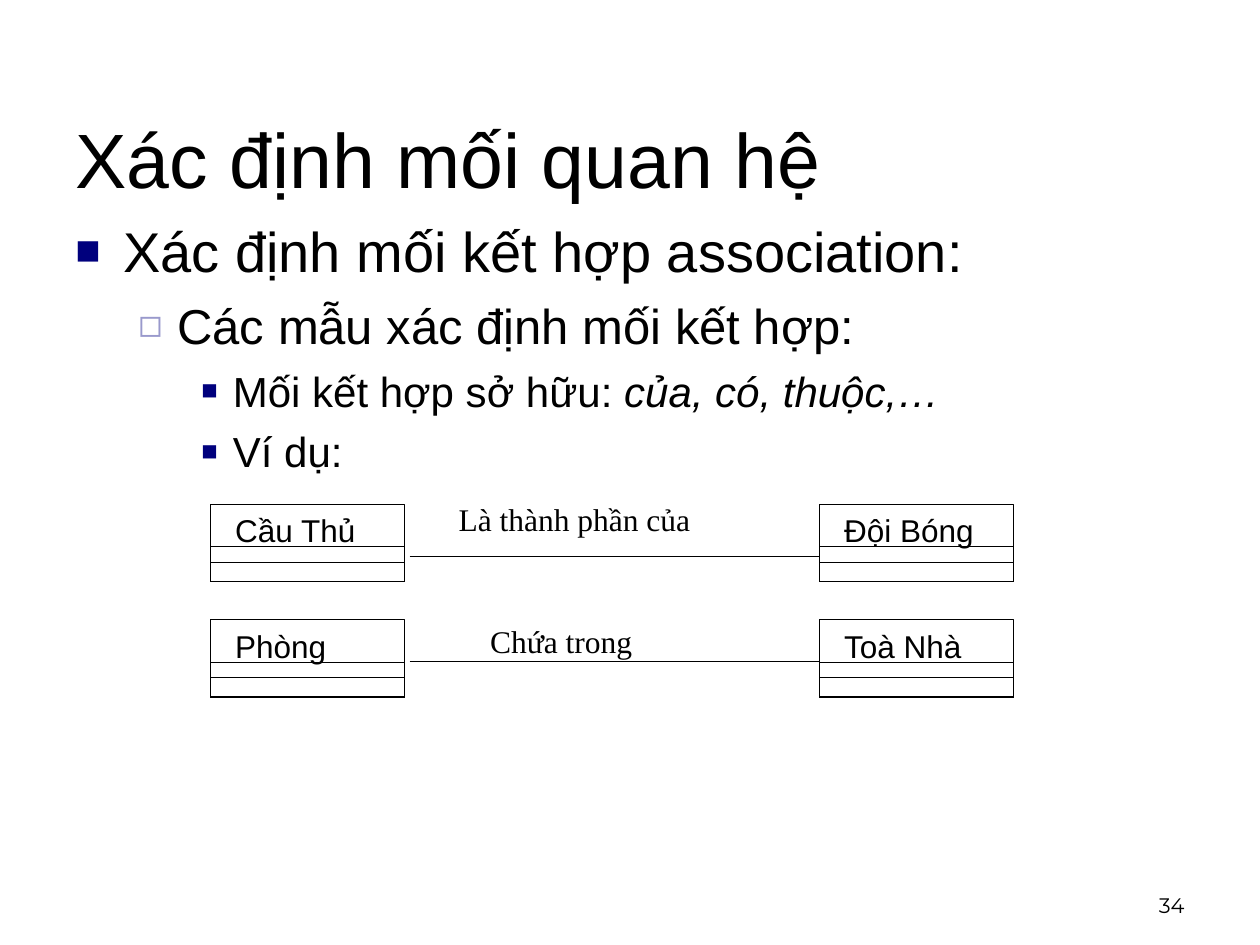
import pptx
import pptx.dml.color
import pptx.enum.shapes
import pptx.enum.text
import pptx.oxml
import pptx.oxml.ns
import pptx.util

ANCHOR = pptx.enum.text.MSO_ANCHOR
ALIGN = pptx.enum.text.PP_ALIGN
FIT = pptx.enum.text.MSO_AUTO_SIZE
COLORS = {"ink": "000000", "navy": "00007D", "lavender": "9999CC"}
LEVELS = [
    {"size": 32, "left": 0.38, "hang": 0.38, "before": 0, "mark": "■", "scale": 75, "color": "navy"},
    {"size": 28, "left": 0.81, "hang": 0.31, "before": 7, "mark": "◻", "scale": 80, "color": "lavender"},
    {"size": 24, "left": 1.25, "hang": 0.25, "before": 6, "mark": "■", "scale": 65, "color": "navy"},
]


class SlideBuilder:
    columns, rows = 60, 45
    class_width, class_height = 9.27, 3.68
    compartment_tops = (0, 2.02, 2.77)

    def __init__(self, presentation):
        self.column = presentation.slide_width / self.columns
        self.row = presentation.slide_height / self.rows
        self.slide = presentation.slides.add_slide(presentation.slide_layouts[5])

    def place(self, left, top, width, height):
        return (round(left * self.column), round(top * self.row),
                round(width * self.column), round(height * self.row))

    def color(self, name):
        return pptx.dml.color.RGBColor.from_string(COLORS[name])

    def add_run(self, paragraph, text, size, font="Arial", italic=False):
        run = paragraph.add_run()
        run.text = text
        run.font.size = pptx.util.Pt(size)
        run.font.name = font
        run.font.italic = italic
        run.font.color.rgb = self.color("ink")

    def title(self, text, *box):
        shape = self.slide.shapes.title
        shape.left, shape.top, shape.width, shape.height = self.place(*box)
        frame = shape.text_frame
        frame.auto_size = FIT.NONE
        frame.vertical_anchor = ANCHOR.MIDDLE
        paragraph = frame.paragraphs[0]
        paragraph.alignment = ALIGN.LEFT
        self.add_run(paragraph, text, 44)

    def bullet(self, paragraph, level):
        style = LEVELS[level]
        paragraph.level = level
        paragraph.space_before = pptx.util.Pt(style["before"])
        properties = paragraph._p.get_or_add_pPr()
        properties.set("marL", str(pptx.util.Inches(style["left"])))
        properties.set("indent", str(-pptx.util.Inches(style["hang"])))
        namespace = pptx.oxml.ns.nsdecls("a")
        for markup in (
            f'<a:buClr {namespace}><a:srgbClr val="{COLORS[style["color"]]}"/></a:buClr>',
            f'<a:buSzPct {namespace} val="{style["scale"] * 1000}"/>',
            f'<a:buFont {namespace} typeface="Arial"/>',
            f'<a:buChar {namespace} char="{style["mark"]}"/>',
        ):
            properties.append(pptx.oxml.parse_xml(markup))

    def outline(self, items, *box):
        frame = self.slide.shapes.add_textbox(*self.place(*box)).text_frame
        frame.word_wrap = True
        for index, (level, parts) in enumerate(items):
            paragraph = frame.add_paragraph() if index else frame.paragraphs[0]
            self.bullet(paragraph, level)
            for text, italic in parts:
                self.add_run(paragraph, text, LEVELS[level]["size"], italic=italic)

    def label(self, text, *box, size=18, font="Arial", shapes=None, inset=True,
              wrap=False, align=ALIGN.LEFT, anchor=ANCHOR.TOP):
        shapes = shapes or self.slide.shapes
        frame = shapes.add_textbox(*self.place(*box)).text_frame
        frame.word_wrap = wrap
        frame.auto_size = FIT.NONE if wrap else FIT.SHAPE_TO_FIT_TEXT
        frame.vertical_anchor = anchor
        if not inset:
            frame.margin_left = frame.margin_right = 0
            frame.margin_top = frame.margin_bottom = 0
        frame.paragraphs[0].alignment = align
        self.add_run(frame.paragraphs[0], text, size, font)

    def class_box(self, name, name_width, left, top):
        shapes = self.slide.shapes.add_group_shape().shapes
        for offset in self.compartment_tops:
            shape = shapes.add_shape(
                pptx.enum.shapes.MSO_SHAPE.RECTANGLE,
                *self.place(left, top + offset, self.class_width, self.class_height - offset))
            shape.shadow.inherit = False
            shape.fill.background()
            shape.line.color.rgb = self.color("ink")
            shape.line.width = pptx.util.Pt(0.2)
        self.label(name, left + 1.2, top + 0.36, name_width, 1.8, shapes=shapes, inset=False)

    def association(self, start, end, row):
        left, top, width, _ = self.place(start, row, end - start, 0)
        line = self.slide.shapes.add_connector(
            pptx.enum.shapes.MSO_CONNECTOR.STRAIGHT, left, top, left + width, top)
        line.line.color.rgb = self.color("ink")
        line.line.width = pptx.util.Pt(0.75)
        line._element.spPr.append(
            pptx.oxml.parse_xml(f'<a:effectLst {pptx.oxml.ns.nsdecls("a")}/>'))


def main():
    presentation = pptx.Presentation()
    presentation.slide_width = pptx.util.Inches(10)
    presentation.slide_height = pptx.util.Inches(7.5)
    builder = SlideBuilder(presentation)

    builder.title("Xác định mối quan hệ", 3, 3, 54, 9)
    builder.outline([
        (0, [("Xác định mối kết hợp association:", False)]),
        (1, [("Các mẫu xác định mối kết hợp:", False)]),
        (2, [("Mối kết hợp sở hữu: ", False), ("của, có, thuộc,…", True)]),
        (2, [("Ví dụ:", False)]),
    ], 3, 10, 54, 25.5)

    part_column, whole_column = 10, 39
    examples = [
        (24, ("Cầu Thủ", 5.8), ("Đội Bóng", 6.2), 26.5, ("Là thành phần của", 21.25, 23.5, 14.6)),
        (29.5, ("Phòng", 4.4), ("Toà Nhà", 5.8), 31.5, ("Chứa trong", 22.75, 29.33, 9.2)),
    ]
    for top, part, whole, line_row, (text, left, text_top, width) in examples:
        builder.class_box(*part, part_column, top)
        builder.class_box(*whole, whole_column, top)
        builder.association(19.5, whole_column, line_row)
        builder.label(text, left, text_top, width, 2.4, font="Times New Roman")

    builder.label("34", 43, 41, 14, 3, size=12, font="Montserrat", wrap=True,
                  align=ALIGN.RIGHT, anchor=ANCHOR.BOTTOM)
    presentation.save("out.pptx")


if __name__ == "__main__":
    main()
